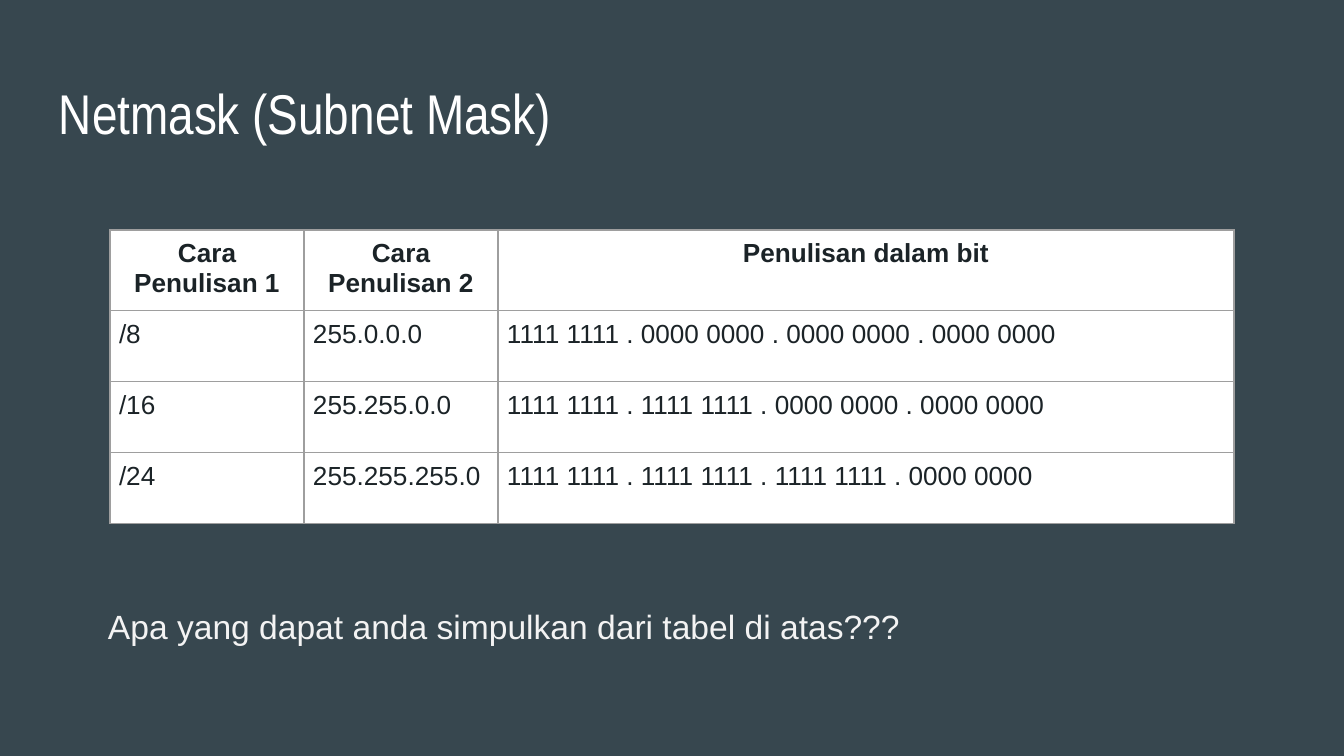
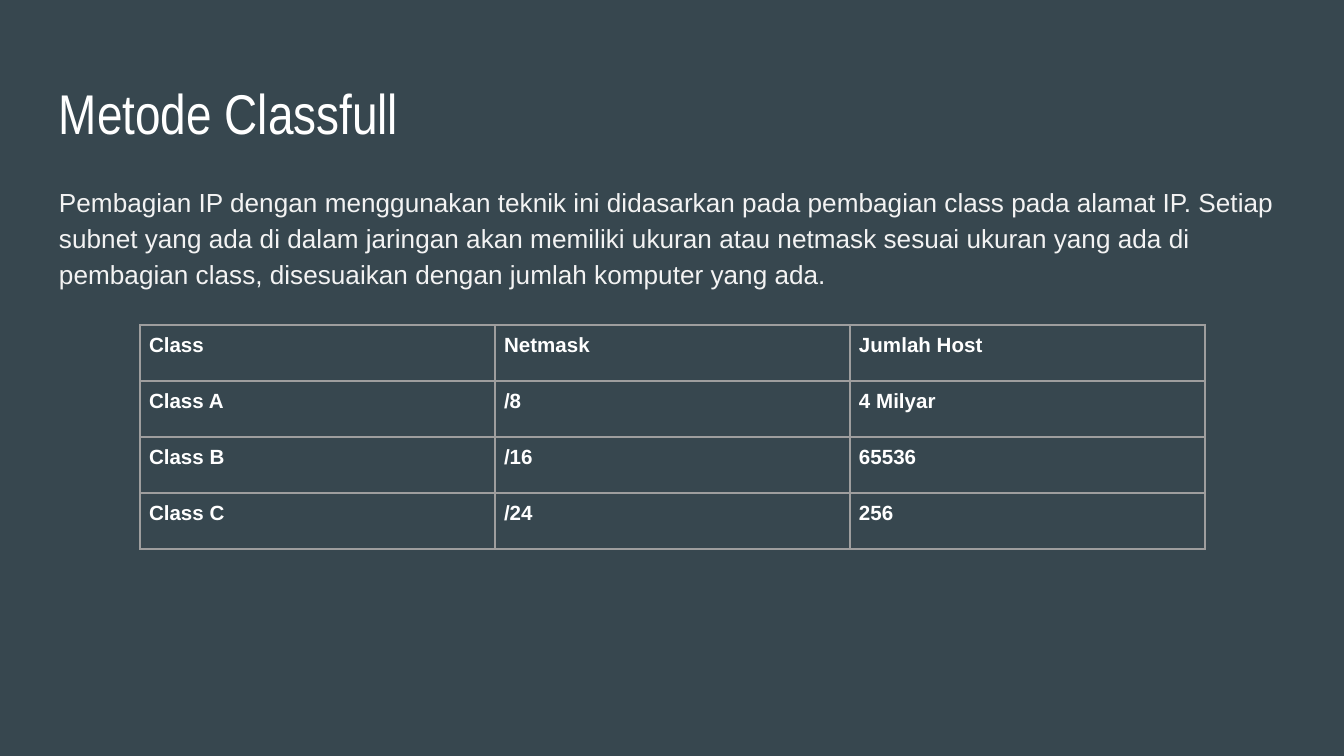
from lxml import etree
from pptx import Presentation
from pptx.dml.color import RGBColor
from pptx.enum.text import MSO_ANCHOR, MSO_AUTO_SIZE, PP_ALIGN
from pptx.oxml.ns import qn
from pptx.util import Pt

PX = 914400 / 134.4
LEFT, CENTER, JUSTIFY = PP_ALIGN.LEFT, PP_ALIGN.CENTER, PP_ALIGN.JUSTIFY
TOP, NO_AUTOFIT = MSO_ANCHOR.TOP, MSO_AUTO_SIZE.NONE

BACKGROUND = "37474F"
WHITE = "FFFFFF"
BODY_COLOR = "F3F3F3"
DARK = "1B2327"
BORDER = "9E9E9E"
TITLE_FONT, BODY_FONT = "Arial Narrow", "Arial"
TEXT_INSET, CELL_INSET = 13, 9


def color(value):
    return RGBColor.from_string(value)


def write_text(target, text, font, size, ink, align=LEFT, bold=False, inset=TEXT_INSET):
    """Fill a text shape or table cell with one uniformly styled paragraph."""
    target.vertical_anchor = TOP
    target.margin_left = target.margin_right = round(inset * PX)
    target.margin_top = target.margin_bottom = round(inset * PX)
    frame = getattr(target, "text_frame", target)
    frame.word_wrap = True
    frame.text = text
    para = frame.paragraphs[0]
    para.alignment = align
    para.font.name, para.font.size, para.font.bold = font, Pt(size), bold
    para.font.color.rgb = color(ink)
    return para


slides = [
    {
        "title": "Netmask (Subnet Mask)",
        "body": "Apa yang dapat anda simpulkan dari tabel di atas???",
        "body_at": (95, 587, 1154, 126),
        "body_size": 18,
        "body_align": JUSTIFY,
        "table_at": (110, 230),
        "columns": [194, 194, 736],
        "row_height": 71,
        "cell_size": 14,
        "cell_ink": DARK,
        "cell_fill": WHITE,
        "header_align": CENTER,
        "body_bold": False,
        "rows": [
            ["Cara Penulisan 1", "Cara Penulisan 2", "Penulisan dalam bit"],
            ["/8", "255.0.0.0", "1111 1111 . 0000 0000 . 0000 0000 . 0000 0000"],
            ["/16", "255.255.0.0", "1111 1111 . 1111 1111 . 0000 0000 . 0000 0000"],
            ["/24", "255.255.255.0", "1111 1111 . 1111 1111 . 1111 1111 . 0000 0000"],
        ],
    },
    {
        "title": "Metode Classfull",
        "body": "Pembagian IP dengan menggunakan teknik ini didasarkan pada pembagian class "
                "pada alamat IP. Setiap subnet yang ada di dalam jaringan akan memiliki ukuran "
                "atau netmask sesuai ukuran yang ada di pembagian class, disesuaikan dengan "
                "jumlah komputer yang ada.",
        "body_at": (46, 169, 1252, 503),
        "body_size": 14,
        "body_align": LEFT,
        "table_at": (140, 325),
        "columns": [355, 355, 355],
        "row_height": 56,
        "cell_size": 11,
        "cell_ink": WHITE,
        "cell_fill": None,
        "header_align": LEFT,
        "body_bold": True,
        "rows": [
            ["Class", "Netmask", "Jumlah Host"],
            ["Class A", "/8", "4 Milyar"],
            ["Class B", "/16", "65536"],
            ["Class C", "/24", "256"],
        ],
    },
]

deck = Presentation()
deck.slide_width, deck.slide_height = round(1344 * PX), round(756 * PX)
master_fill = deck.slide_master.background.fill
master_fill.solid()
master_fill.fore_color.rgb = color(BACKGROUND)
title_only = deck.slide_layouts[5]

for content in slides:
    page = deck.slides.add_slide(title_only)

    title = page.shapes.title
    title.left, title.top, title.width, title.height = [round(n * PX) for n in (46, 66, 1252, 85)]
    write_text(title.text_frame, content["title"], TITLE_FONT, 30, WHITE)
    title.text_frame.auto_size = NO_AUTOFIT

    box = page.shapes.add_textbox(*[round(n * PX) for n in content["body_at"]])
    para = write_text(box.text_frame, content["body"], BODY_FONT, content["body_size"],
                      BODY_COLOR, content["body_align"])
    para.line_spacing = 1.15

    rows, columns = content["rows"], content["columns"]
    left, top = content["table_at"]
    size = (sum(columns), content["row_height"] * len(rows))
    table = page.shapes.add_table(len(rows), len(columns),
                                  *[round(n * PX) for n in (left, top, *size)]).table
    table.first_row = table.horz_banding = False
    for column, width in zip(table.columns, columns):
        column.width = round(width * PX)
    for row_index, texts in enumerate(rows):
        table.rows[row_index].height = round(content["row_height"] * PX)
        is_header = row_index == 0
        for column_index, text in enumerate(texts):
            cell = table.cell(row_index, column_index)
            write_text(cell, text, BODY_FONT, content["cell_size"], content["cell_ink"],
                       content["header_align"] if is_header else LEFT,
                       is_header or content["body_bold"], CELL_INSET)
            properties = cell._tc.get_or_add_tcPr()
            for side in ("a:lnL", "a:lnR", "a:lnT", "a:lnB"):
                line = etree.SubElement(properties, qn(side), w=str(Pt(0.75)))
                line_fill = etree.SubElement(line, qn("a:solidFill"))
                etree.SubElement(line_fill, qn("a:srgbClr"), val=BORDER)
            if content["cell_fill"]:
                cell.fill.solid()
                cell.fill.fore_color.rgb = color(content["cell_fill"])
            else:
                cell.fill.background()

deck.save("out.pptx")
